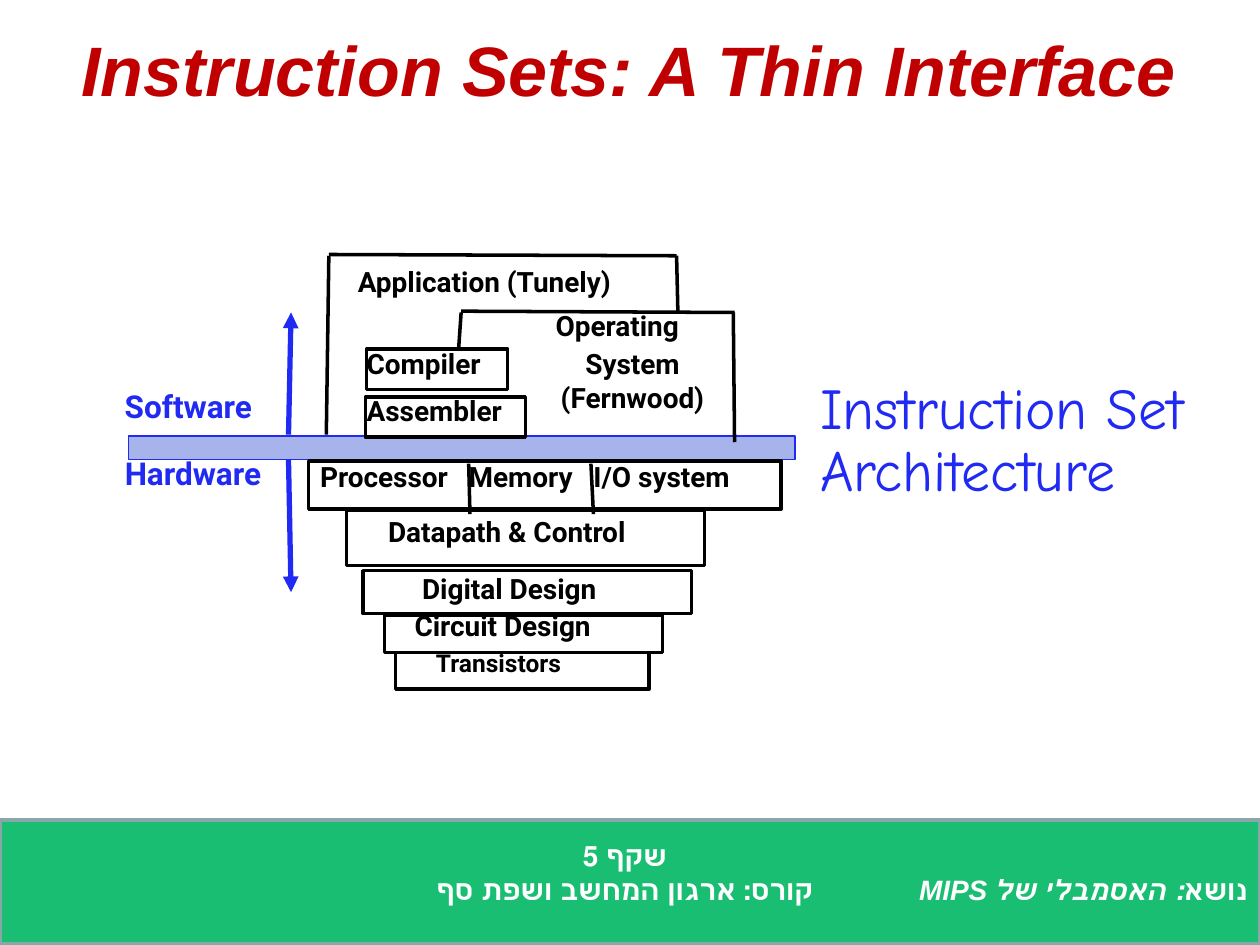
from dataclasses import dataclass
from typing import Optional

from lxml.etree import SubElement
from pptx import Presentation
from pptx.dml.color import RGBColor
from pptx.enum.shapes import MSO_CONNECTOR, MSO_SHAPE
from pptx.enum.text import MSO_ANCHOR, MSO_AUTO_SIZE, PP_ALIGN
from pptx.oxml.ns import qn
from pptx.util import Inches, Pt

COLORS = {
    "title": "C00000",
    "ink": "000000",
    "blue": "202AF3",
    "band": "A7B4EC",
    "footer": "19BE73",
    "footer_edge": "8AA6A8",
    "white": "FFFFFF",
}


@dataclass
class Box:
    left: float
    top: float
    width: float
    height: float
    fill: Optional[str] = None
    line: str = "ink"
    weight: float = 2


@dataclass
class Label:
    lines: tuple
    left: float
    top: float
    width: float
    height: float = 0.37
    size: float = 16
    color: str = "ink"
    font: str = "Roboto"
    bold: bool = True
    align: PP_ALIGN = PP_ALIGN.LEFT
    spacing: float = 1.0
    rtl: bool = False
    margins: tuple = (0, 0, 0, 0)


@dataclass
class Stroke:
    x1: float
    y1: float
    x2: float
    y2: float
    color: str = "ink"
    weight: float = 2
    arrow: bool = False


FOOTER = Box(0, 6.51, 10, 0.98, "footer", "footer_edge")
ISA_BAND = Box(1.02, 3.46, 5.29, 0.19, "band", "blue", 0.75)
LAYERS = [
    Box(2.91, 2.77, 1.12, 0.32),
    Box(2.9, 3.15, 1.27, 0.32),
    Box(2.45, 3.66, 3.75, 0.38),
    Box(2.75, 4.05, 2.84, 0.44),
    Box(2.88, 4.53, 2.61, 0.34),
    Box(3.05, 4.88, 2.21, 0.3),
    Box(3.14, 5.18, 2.01, 0.29),
]
STROKES = [
    Stroke(2.59, 3.45, 2.61, 2.03),
    Stroke(2.61, 2.02, 5.37, 2.03),
    Stroke(5.37, 2.03, 5.38, 2.47),
    Stroke(3.64, 2.77, 3.66, 2.48),
    Stroke(3.66, 2.47, 5.83, 2.48),
    Stroke(5.82, 2.48, 5.83, 3.51),
    Stroke(3.72, 3.68, 3.73, 4.08),
    Stroke(4.69, 3.68, 4.71, 4.08),
    Stroke(2.29, 3.45, 2.31, 2.48, "blue", 3, True),
    Stroke(2.29, 3.65, 2.31, 4.7, "blue", 3, True),
]
FOOTER_MARGINS = (0.1, 0.05, 0.1, 0.05)
LABELS = [
    Label(("Instruction Set Architecture",), 6.51, 3.01, 3.1, 1.06, 33, "blue",
          "Comic Neue", False, spacing=0.9),
    Label(("Application (Tunely)",), 2.84, 2.1, 2.26),
    Label(("Operating",), 4.41, 2.45, 1.18),
    Label(("System", "(Fernwood)"), 4.37, 2.75, 1.3, 0.64, align=PP_ALIGN.CENTER),
    Label(("Compiler",), 2.91, 2.75, 1.09),
    Label(("Assembler",), 2.91, 3.12, 1.31),
    Label(("Processor",), 2.54, 3.65, 1.21),
    Label(("Memory",), 3.72, 3.65, 0.97),
    Label(("I/O system",), 4.71, 3.65, 1.25),
    Label(("Datapath & Control",), 3.08, 4.1, 2.22, spacing=0.98),
    Label(("Digital Design",), 3.35, 4.54, 1.61),
    Label(("Circuit Design",), 3.29, 4.83, 1.64),
    Label(("Transistors",), 3.46, 5.14, 1.19, size=14, spacing=1.01),
    Label(("Software",), 0.99, 3.07, 1.17, 0.4, 18, "blue"),
    Label(("Hardware",), 0.99, 3.6, 1.25, 0.4, 18, "blue"),
    Label(("שקף 5", "קורס: ארגון המחשב ושפת סף"), 3.11, 6.61, 3.7, 0.77, color="white",
          font="Arial", align=PP_ALIGN.CENTER, rtl=True, margins=FOOTER_MARGINS),
]
TOPIC = Label(("נושא",), 6.81, 6.88, 3.19, 0.5, color="white", font="Arial",
              align=PP_ALIGN.RIGHT, rtl=True, margins=FOOTER_MARGINS)
TITLE = Label(("Instruction Sets: A Thin Interface",), 0, 0.3, 10, 0.77, 40, "title",
              "Arial", align=PP_ALIGN.CENTER, spacing=0.88, margins=(0.14, 0, 0.16, 0))


def rgb(name: str) -> RGBColor:
    return RGBColor.from_string(COLORS[name])


def draw_box(s, box: Box) -> None:
    sp = s.shapes.add_shape(MSO_SHAPE.RECTANGLE, Inches(box.left), Inches(box.top),
                            Inches(box.width), Inches(box.height))
    sp.shadow.inherit = False
    if box.fill:
        sp.fill.solid()
        sp.fill.fore_color.rgb = rgb(box.fill)
    else:
        sp.fill.background()
    sp.line.color.rgb = rgb(box.line)
    sp.line.width = Pt(box.weight)


def draw_stroke(s, stroke: Stroke) -> None:
    cxn = s.shapes.add_connector(MSO_CONNECTOR.STRAIGHT, Inches(stroke.x1), Inches(stroke.y1),
                                 Inches(stroke.x2), Inches(stroke.y2))
    cxn.line.color.rgb = rgb(stroke.color)
    cxn.line.width = Pt(stroke.weight)
    sp_pr = cxn._element.spPr
    if stroke.arrow:
        SubElement(sp_pr.get_or_add_ln(), qn("a:tailEnd"), type="triangle")
    SubElement(sp_pr, qn("a:effectLst"))


def write_label(sp, label: Label) -> None:
    sp.left, sp.top = Inches(label.left), Inches(label.top)
    sp.width, sp.height = Inches(label.width), Inches(label.height)
    tf = sp.text_frame
    tf.word_wrap = True
    tf.auto_size = MSO_AUTO_SIZE.NONE
    tf.vertical_anchor = MSO_ANCHOR.TOP
    tf.margin_left, tf.margin_top, tf.margin_right, tf.margin_bottom = map(Inches, label.margins)
    tf.text = "\n".join(label.lines)
    for p in tf.paragraphs:
        p.alignment = label.align
        p.line_spacing = label.spacing
        p.font.name = label.font
        p.font.size = Pt(label.size)
        p.font.bold = label.bold
        p.font.color.rgb = rgb(label.color)
        if label.rtl:
            p._p.get_or_add_pPr().set("rtl", "1")


def draw_label(s, label: Label):
    sp = s.shapes.add_textbox(0, 0, 0, 0)
    write_label(sp, label)
    return sp


def main() -> None:
    prs = Presentation()
    prs.slide_width, prs.slide_height = Inches(10), Inches(7.5)
    s = prs.slides.add_slide(prs.slide_layouts[5])
    title = s.shapes.title
    write_label(title, TITLE)
    title.text_frame.paragraphs[0].font.italic = True
    for box in [FOOTER, ISA_BAND, *LAYERS]:
        draw_box(s, box)
    for stroke in STROKES:
        draw_stroke(s, stroke)
    for label in LABELS:
        draw_label(s, label)
    topic = draw_label(s, TOPIC)
    r = topic.text_frame.paragraphs[0].add_run()
    r.text = ": האסמבלי של MIPS"
    r.font.italic = True
    prs.save("out.pptx")


if __name__ == "__main__":
    main()
